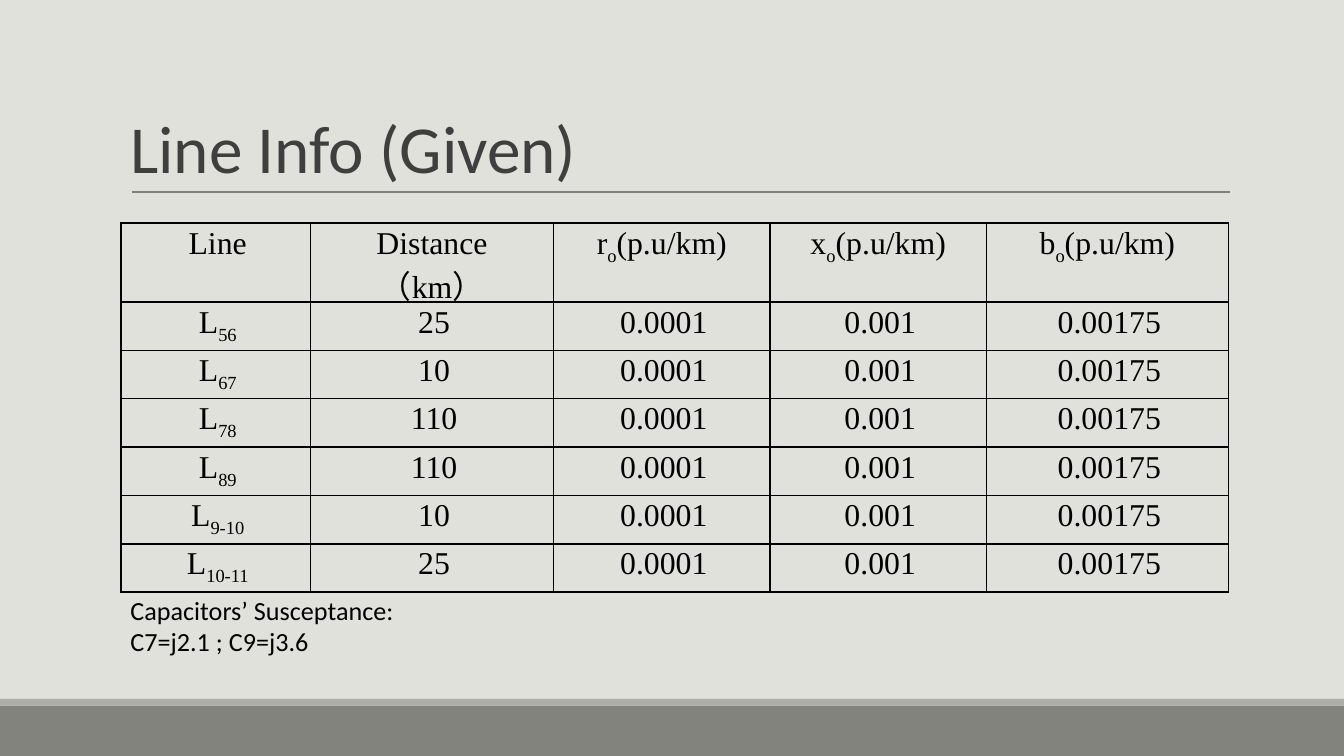
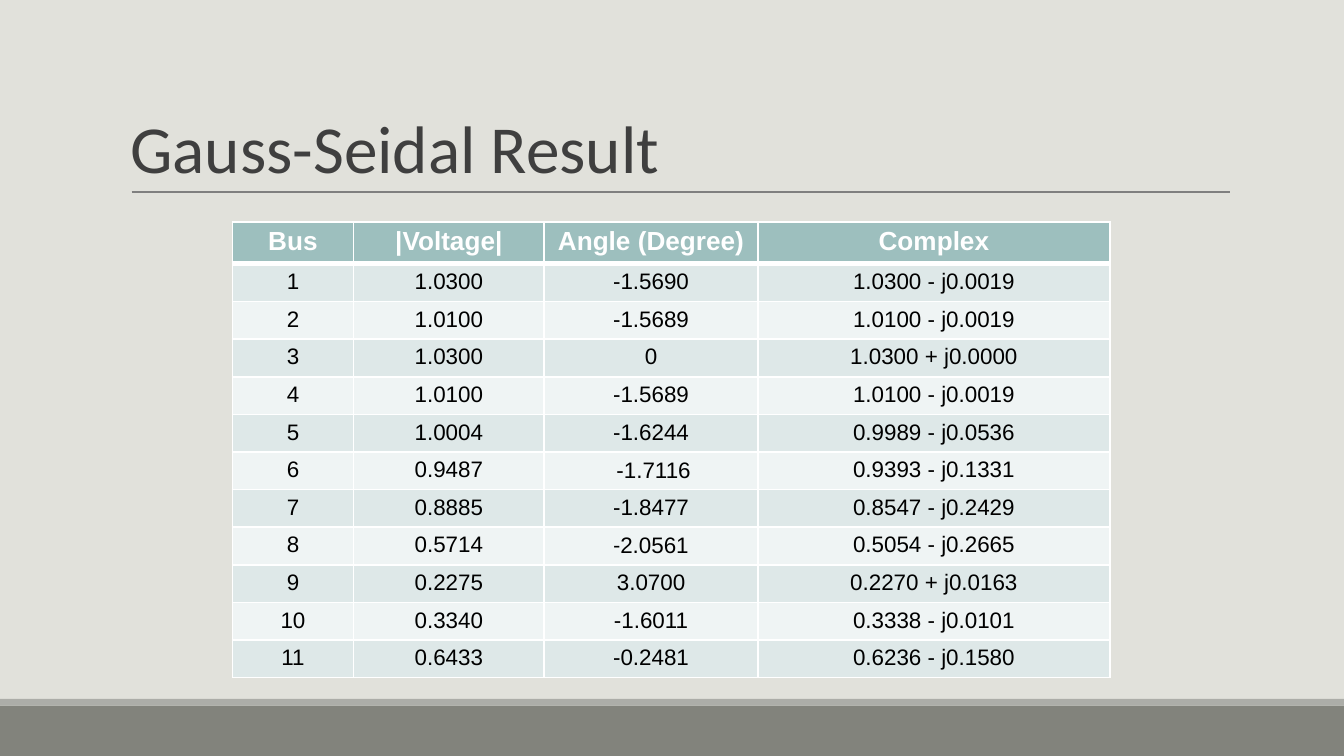
"""Builds two slides with the line data and the Gauss-Seidal results of a power grid."""
from lxml import etree
from pptx import Presentation
from pptx.dml.color import RGBColor
from pptx.enum.shapes import MSO_CONNECTOR, MSO_SHAPE
from pptx.enum.text import MSO_ANCHOR, PP_ALIGN
from pptx.oxml.ns import qn
from pptx.util import Inches, Pt

RECTANGLE = MSO_SHAPE.RECTANGLE
STRAIGHT = MSO_CONNECTOR.STRAIGHT
BOTTOM = MSO_ANCHOR.BOTTOM
CENTER = PP_ALIGN.CENTER

BACKGROUND, BAND, BAND_EDGE, RULE = "E1E1DB", "82837C", "ACADA8", "7F7F7F"
TITLE, BLACK, WHITE = "3F3F3F", "000000", "FFFFFF"
HEADER, ODD_ROW, EVEN_ROW = "9DBFBE", "DEE8E8", "EFF4F4"


def color(hex_value):
    return RGBColor.from_string(hex_value)


def style_cell(cell, margins, border, bottom_width=1):
    cell.margin_left = cell.margin_right = Inches(margins[0])
    cell.margin_top, cell.margin_bottom = Inches(margins[1]), Inches(margins[2])
    properties = cell._tc.get_or_add_tcPr()
    for position, side in enumerate(("lnL", "lnR", "lnT", "lnB")):
        edge = etree.Element(qn(f"a:{side}"))
        edge.set("w", str(Pt(bottom_width if side == "lnB" else 1)))
        solid = etree.SubElement(edge, qn("a:solidFill"))
        etree.SubElement(solid, qn("a:srgbClr")).set("val", border)
        properties.insert(position, edge)


deck = Presentation()
deck.slide_width, deck.slide_height = Inches(10), Inches(5.625)

slides = []
for heading in ("Line Info (Given)", "Gauss-Seidal Result"):
    slide = deck.slides.add_slide(deck.slide_layouts[6])
    slides.append(slide)
    slide.background.fill.solid()
    slide.background.fill.fore_color.rgb = color(BACKGROUND)

    for top, height, shade in ((5.25, 0.38, BAND), (5.2, 0.05, BAND_EDGE)):
        band = slide.shapes.add_shape(RECTANGLE, 0, Inches(top), Inches(10), Inches(height))
        band.shadow.inherit = False
        band.fill.solid()
        band.fill.fore_color.rgb = color(shade)
        band.line.fill.background()

    rule = slide.shapes.add_connector(STRAIGHT, Inches(0.98), Inches(1.43), Inches(9.15), Inches(1.43))
    rule.line.color.rgb = color(RULE)
    rule.line.width = Pt(0.75)
    etree.SubElement(rule._element.spPr, qn("a:effectLst"))

    title = slide.shapes.add_textbox(Inches(0.9), Inches(0.24), Inches(8.25), Inches(1.19)).text_frame
    title.word_wrap = True
    title.vertical_anchor = BOTTOM
    title.margin_left = title.margin_right = Inches(0.07)
    title.margin_top = title.margin_bottom = Inches(0.04)
    title.text = heading
    title.paragraphs[0].line_spacing = 0.85
    title.paragraphs[0].font.name = "Calibri"
    title.paragraphs[0].font.size = Pt(36)
    title.paragraphs[0].font.color.rgb = color(TITLE)

line_info_slide, result_slide = slides

distances = (("L_56", "25"), ("L_67", "10"), ("L_78", "110"),
             ("L_89", "110"), ("L_9-10", "10"), ("L_10-11", "25"))
line_rows = [("Line", "Distance（km）", "r_o_(p.u/km)", "x_o_(p.u/km)", "b_o_(p.u/km)")]
line_rows += [(*entry, "0.0001", "0.001", "0.00175") for entry in distances]

line_table = line_info_slide.shapes.add_table(
    7, 5, Inches(0.9), Inches(1.66), Inches(8.25), Inches(2.54)).table
line_table.first_row = line_table.horz_banding = False
for column, width in zip(line_table.columns, (1.41, 1.81, 1.61, 1.61, 1.8)):
    column.width = Inches(width)
for r, values in enumerate(line_rows):
    line_table.rows[r].height = Inches(0.36)
    for c, value in enumerate(values):
        cell = line_table.cell(r, c)
        cell.fill.background()
        style_cell(cell, (0.12, 0.02, 0), BLACK)
        entry = cell.text_frame.paragraphs[0]
        entry.alignment = CENTER
        entry.font.name = "Times New Roman"
        entry.font.size = Pt(17)
        entry.font.color.rgb = color(BLACK)
        if r > 0 or c == 0:
            entry._p.get_or_add_pPr().set("marL", str(Inches(0.03)))
        for i, part in enumerate(value.split("_")):
            run = entry.add_run()
            run.text = part
            if i == 1:
                run._r.get_or_add_rPr().set("baseline", "-25000")

susceptance = line_info_slide.shapes.add_textbox(
    Inches(0.9), Inches(4.38), Inches(3.68), Inches(0.55)).text_frame
susceptance.word_wrap = True
susceptance.margin_left = susceptance.margin_right = Inches(0.07)
susceptance.margin_top = susceptance.margin_bottom = Inches(0.04)
susceptance.text = "Capacitors’ Susceptance:\nC7=j2.1 ; C9=j3.6"
for statement in susceptance.paragraphs:
    statement.font.name = "Calibri"
    statement.font.size = Pt(14)
    statement.font.color.rgb = color(BLACK)

bus_rows = (
    ("Bus", "|Voltage|", "Angle (Degree)", "Complex"),
    ("1", "1.0300", "-1.5690", "1.0300 - j0.0019"),
    ("2", "1.0100", "-1.5689", "1.0100 - j0.0019"),
    ("3", "1.0300", "0", "1.0300 + j0.0000"),
    ("4", "1.0100", "-1.5689", "1.0100 - j0.0019"),
    ("5", "1.0004", "-1.6244", "0.9989 - j0.0536"),
    ("6", "0.9487", "_ _-1.7116", "0.9393 - j0.1331"),
    ("7", "0.8885", "-1.8477", "0.8547 - j0.2429"),
    ("8", "0.5714", "_-_2.0561", "0.5054 - j0.2665"),
    ("9", "0.2275", "3.0700", "0.2270 + j0.0163"),
    ("10", "0.3340", "-1.6011", "0.3338 - j0.0101"),
    ("11", "0.6433", "-0.2481", "0.6236 - j0.1580"),
)
bus_table = result_slide.shapes.add_table(
    12, 4, Inches(1.73), Inches(1.65), Inches(6.53), Inches(3.33)).table
for column, width in zip(bus_table.columns, (0.9, 1.42, 1.59, 2.62)):
    column.width = Inches(width)
for r, values in enumerate(bus_rows):
    is_header = r == 0
    bus_table.rows[r].height = Inches(0.25 if is_header else 0.24)
    shade = HEADER if is_header else (EVEN_ROW, ODD_ROW)[r % 2]
    for c, value in enumerate(values):
        cell = bus_table.cell(r, c)
        cell.fill.solid()
        cell.fill.fore_color.rgb = color(shade)
        style_cell(cell, (0.08, 0.04, 0.04), WHITE, 3 if is_header else 1)
        entry = cell.text_frame.paragraphs[0]
        entry.alignment = CENTER
        entry.font.name = "Arial"
        entry.font.size = Pt(14 if is_header else 12)
        entry.font.bold = is_header
        entry.font.color.rgb = color(WHITE if is_header else BLACK)
        for i, part in enumerate(value.split("_")):
            if part:
                run = entry.add_run()
                run.text = part
                if i == 1:
                    run.font.name = "Calibri"

deck.save("out.pptx")
